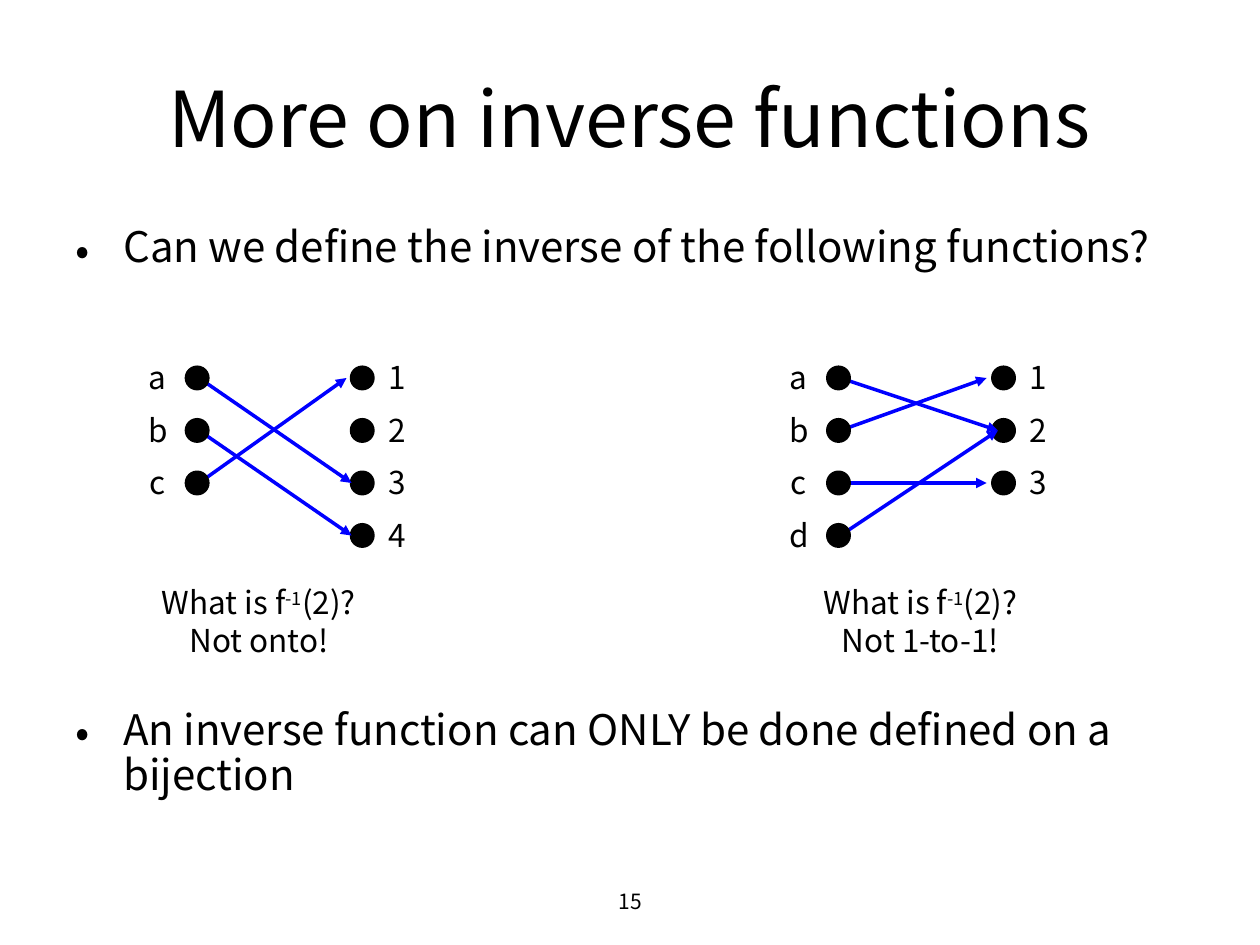
from lxml import etree
from pptx import Presentation
from pptx.dml.color import RGBColor
from pptx.enum.shapes import MSO_CONNECTOR, MSO_SHAPE
from pptx.enum.text import MSO_ANCHOR, MSO_AUTO_SIZE, PP_ALIGN
from pptx.oxml.ns import qn
from pptx.util import Inches, Pt

CENTER, LEFT = PP_ALIGN.CENTER, PP_ALIGN.LEFT
TOP, MIDDLE = MSO_ANCHOR.TOP, MSO_ANCHOR.MIDDLE
FIT_SHAPE = MSO_AUTO_SIZE.SHAPE_TO_FIT_TEXT
STRAIGHT, OVAL = MSO_CONNECTOR.STRAIGHT, MSO_SHAPE.OVAL
COLORS = {"background": "FFFFFF", "ink": "000000", "arrow": "0000FF"}
FONT = "Noto Sans CJK KR"

ROW_STEP = Inches(1.25) / 3
FIRST_ROW = Inches(0.33)
DOT_SIZE = Inches(0.17)
LABEL_WIDTH = Inches(0.34)
DOMAIN_DOTS, CODOMAIN_DOTS = Inches(0.4), Inches(1.71)
CODOMAIN_LABELS = Inches(1.9)
ARROW_START = Inches(0.5)


def color(name):
    return RGBColor.from_string(COLORS[name])


def add_text(shapes, left, top, width, height, paragraphs, size,
             align=CENTER, anchor=TOP, wrap=True, spacing=None):
    """Add a text box; each paragraph is a list of (text, is_superscript)."""
    box = shapes.add_textbox(left, top, width, height)
    frame = box.text_frame
    frame.word_wrap = wrap
    frame.vertical_anchor = anchor
    if not wrap:
        frame.auto_size = FIT_SHAPE
    for index, runs in enumerate(paragraphs):
        para = frame.add_paragraph() if index else frame.paragraphs[0]
        para.alignment = align
        if spacing:
            para.line_spacing = spacing
        for text, is_superscript in runs:
            span = para.add_run()
            span.text = text
            span.font.name = FONT
            span.font.size = Pt(size)
            span.font.color.rgb = color("ink")
            if is_superscript:
                span._r.get_or_add_rPr().set("baseline", "30000")
    return box


def add_bullet(page, left, top, width, height, text):
    box = add_text(page.shapes, left, top, width, height, [[(text, False)]], 24,
                   align=LEFT, spacing=0.9)
    properties = box.text_frame.paragraphs[0]._p.get_or_add_pPr()
    properties.set("marL", str(Inches(0.38)))
    properties.set("indent", str(-Inches(0.38)))
    etree.SubElement(properties, qn("a:buFont"), typeface=FONT)
    etree.SubElement(properties, qn("a:buChar"), char="•")


def add_dots(shapes, left, top, count):
    for row in range(count):
        middle = top + FIRST_ROW + ROW_STEP * row
        dot = shapes.add_shape(OVAL, left, int(middle - DOT_SIZE / 2), DOT_SIZE, DOT_SIZE)
        dot.shadow.inherit = False
        dot.fill.solid()
        dot.fill.fore_color.rgb = color("ink")
        dot.line.color.rgb = color("ink")
        dot.line.width = Pt(2)


def add_labels(shapes, left, top, letters):
    height = int(Inches(0.1) + ROW_STEP * len(letters))
    add_text(shapes, left, top, LABEL_WIDTH, height,
             [[(letter, False)] for letter in letters], 18, wrap=False, spacing=1.4)


def add_arrow(shapes, start_x, start_y, end_x, end_y):
    arrow = shapes.add_connector(STRAIGHT, start_x, int(start_y), end_x, int(end_y))
    arrow.line.color.rgb = color("arrow")
    arrow.line.width = Pt(2)
    etree.SubElement(arrow.line._get_or_add_ln(), qn("a:tailEnd"), type="triangle")
    etree.SubElement(arrow._element.spPr, qn("a:effectLst"))


def add_mapping(page, left, top, domain, codomain, arrows):
    """Draw a function diagram; arrows are (from label, to label, end offset)."""
    shapes = page.shapes.add_group_shape().shapes
    add_dots(shapes, left + CODOMAIN_DOTS, top, len(codomain))
    add_labels(shapes, left + CODOMAIN_LABELS, top, codomain)
    add_labels(shapes, left, top, domain)
    for source, target, reach in arrows:
        add_arrow(shapes,
                  left + ARROW_START, top + FIRST_ROW + ROW_STEP * domain.index(source),
                  left + Inches(reach), top + FIRST_ROW + ROW_STEP * codomain.index(target))
    add_dots(shapes, left + DOMAIN_DOTS, top, len(domain))


def add_caption(page, left, top, verdict):
    question = [("What is f", False), ("-1", True), ("(2)?", False)]
    add_text(page.shapes, left, top, Inches(1.77), Inches(0.7),
             [question, [(verdict, False)]], 18, wrap=False)


def main():
    deck = Presentation()
    deck.slide_width, deck.slide_height = Inches(10), Inches(7.5)
    page = deck.slides.add_slide(deck.slide_layouts[6])
    page.background.fill.solid()
    page.background.fill.fore_color.rgb = color("background")

    add_text(page.shapes, Inches(3.42), Inches(6.95), Inches(3.17), Inches(0.4),
             [[("15", False)]], 12, anchor=MIDDLE)
    add_text(page.shapes, Inches(0.5), Inches(0.3), Inches(9), Inches(1.25),
             [[("More on inverse functions", False)]], 44, anchor=MIDDLE)
    add_bullet(page, Inches(0.5), Inches(1.75), Inches(9), Inches(0.5),
               "Can we define the inverse of the following functions?")
    add_bullet(page, Inches(0.5), Inches(5.58), Inches(9), Inches(0.97),
               "An inverse function can ONLY be done defined on a bijection")

    add_mapping(page, Inches(1.08), Inches(2.67), "abc", "1234",
                [("b", "4", 1.71), ("a", "3", 1.71), ("c", "1", 1.67)])
    add_mapping(page, Inches(6.17), Inches(2.67), "abcd", "123",
                [("b", "1", 1.66), ("a", "2", 1.75), ("c", "3", 1.66), ("d", "2", 1.75)])
    add_caption(page, Inches(1.17), Inches(4.58), "Not onto!")
    add_caption(page, Inches(6.42), Inches(4.58), "Not 1-to-1!")
    deck.save("out.pptx")


if __name__ == "__main__":
    main()
